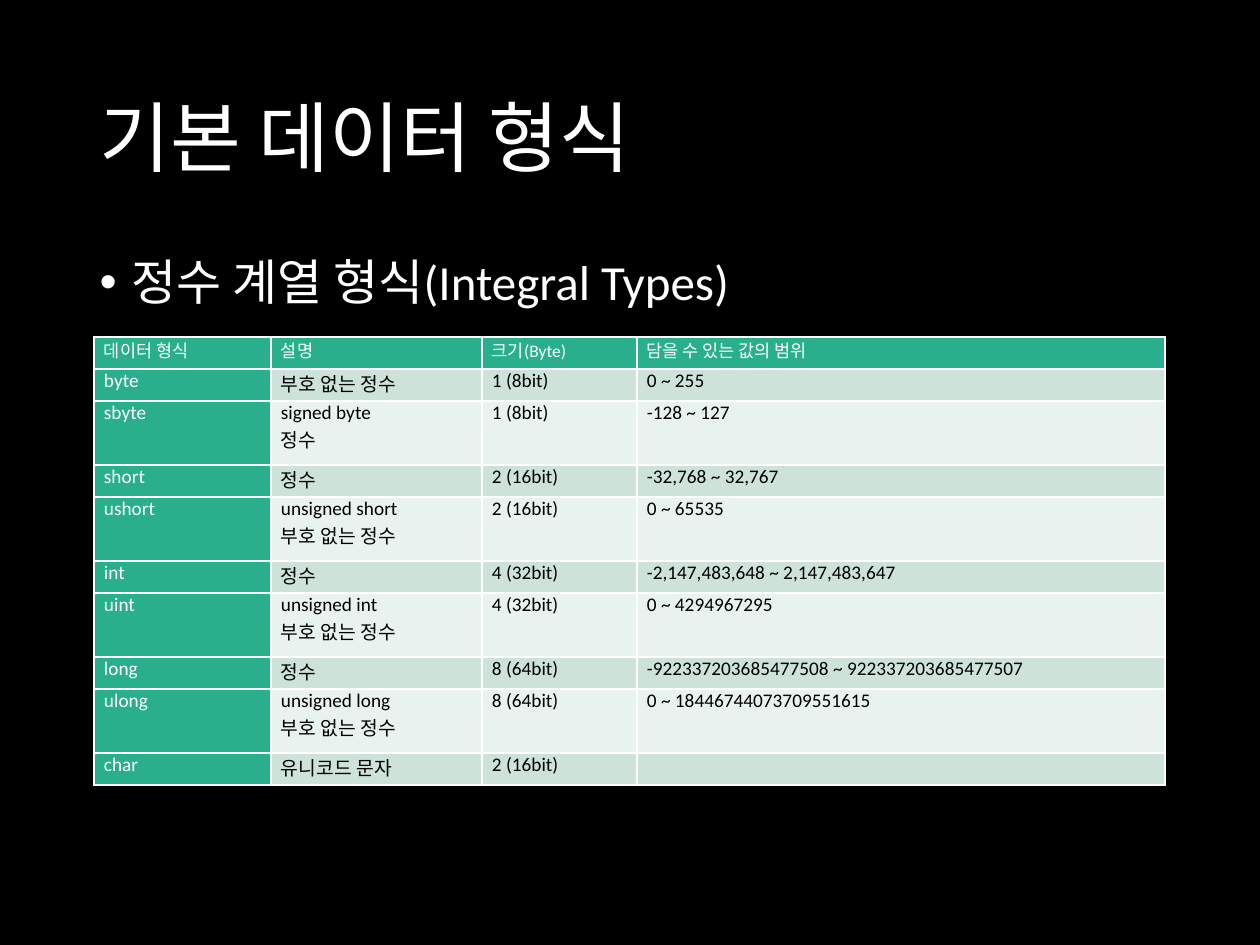
from lxml import etree
from pptx import Presentation
from pptx.dml.color import RGBColor
from pptx.enum.text import MSO_ANCHOR, MSO_AUTO_SIZE, PP_ALIGN
from pptx.oxml.ns import qn
from pptx.util import Pt

PX = 914400 / 126
LEFT, JUST = PP_ALIGN.LEFT, PP_ALIGN.JUSTIFY
TOP, MIDDLE = MSO_ANCHOR.TOP, MSO_ANCHOR.MIDDLE
NO_FIT = MSO_AUTO_SIZE.NONE
WHITE, BLACK, GREEN = "FFFFFF", "000000", "29AF8C"
BANDS = ["E8F2EE", "CDE3DA"]


def color(code):
    return RGBColor.from_string(code)


def write(frame, text, size, ink, align=LEFT, line=1, pad=0, hang=0, dot=None):
    """Fill a text frame, one paragraph per line of text; pad and hang in px."""
    for i, part in enumerate(text.split("\n")):
        para = frame.paragraphs[0] if i == 0 else frame.add_paragraph()
        props = para._p.get_or_add_pPr()
        props.set("marL", str(round(pad * PX)))
        props.set("indent", str(round(-hang * PX)))
        if dot:
            etree.SubElement(props, qn("a:buChar"), char=dot)
        para.alignment = align
        para.line_spacing = line
        para.space_before = Pt(0)
        if not part:
            etree.SubElement(para._p, qn("a:endParaRPr"), sz=str(size * 100))
            continue
        run = para.add_run()
        run.text = part
        run.font.size = Pt(size)
        run.font.name = "Calibri"
        run.font.color.rgb = color(ink)


deck = Presentation()
deck.slide_width, deck.slide_height = round(1260 * PX), round(945 * PX)
slide = deck.slides.add_slide(deck.slide_layouts[1])
slide.background.fill.solid()
slide.background.fill.fore_color.rgb = color(BLACK)

# Title and list
title, body = slide.placeholders
for box, top, high, anchor in [(title, 50, 183, MIDDLE), (body, 252, 600, TOP)]:
    box.left, box.top = round(87 * PX), round(top * PX)
    box.width, box.height = round(1086 * PX), round(high * PX)
    box.text_frame.auto_size = NO_FIT
    box.text_frame.vertical_anchor = anchor
write(title.text_frame, "기본 데이터 형식", 44, WHITE, line=0.9)
write(body.text_frame, "정수 계열 형식(Integral Types)", 28, WHITE,
      line=0.9, pad=32, hang=32, dot="•")

# Table of integral types
rows = [
    ("데이터 형식", "설명", "크기(Byte)", "담을 수 있는 값의 범위"),
    ("byte", "부호 없는 정수", "1 (8bit)", "0 ~ 255"),
    ("sbyte", "signed byte\n정수", "1 (8bit)", "-128 ~ 127"),
    ("short", "정수", "2 (16bit)", "-32,768 ~ 32,767"),
    ("ushort", "unsigned short\n부호 없는 정수", "2 (16bit)", "0 ~ 65535"),
    ("int", "정수", "4 (32bit)", "-2,147,483,648 ~ 2,147,483,647"),
    ("uint", "unsigned int\n부호 없는 정수", "4 (32bit)", "0 ~ 4294967295"),
    ("long", "정수", "8 (64bit)", "-922337203685477508 ~ 922337203685477507"),
    ("ulong", "unsigned long\n부호 없는 정수", "8 (64bit)", "0 ~ 18446744073709551615"),
    ("char", "유니코드 문자", "2 (16bit)", ""),
]
wide = [177, 211, 155, 528]
high = [64 if "\n" in row[1] else 32 for row in rows]
grid = slide.shapes.add_table(
    len(rows), len(wide), round(94 * PX), round(337 * PX),
    round(sum(wide) * PX), round(sum(high) * PX)).table
grid.first_col = True
for c, w in enumerate(wide):
    grid.columns[c].width = round(w * PX)

for r, row in enumerate(rows):
    grid.rows[r].height = round(high[r] * PX)
    for c, text in enumerate(row):
        cell = grid.cell(r, c)
        head = r == 0 or c == 0
        cell.margin_left = cell.margin_right = round(9 * PX)
        cell.margin_top = cell.margin_bottom = 0
        write(cell.text_frame, text, 10 if r == 0 else 11,
              WHITE if head else BLACK, align=JUST, pad=1)
        props = cell._tc.get_or_add_tcPr()
        for side in ("lnL", "lnR", "lnT", "lnB"):
            edge = etree.SubElement(props, qn("a:" + side), w=str(Pt(1)))
            paint = etree.SubElement(edge, qn("a:solidFill"))
            etree.SubElement(paint, qn("a:srgbClr"), val=WHITE)
        cell.fill.solid()
        cell.fill.fore_color.rgb = color(GREEN if head else BANDS[r % 2])

deck.save("out.pptx")
